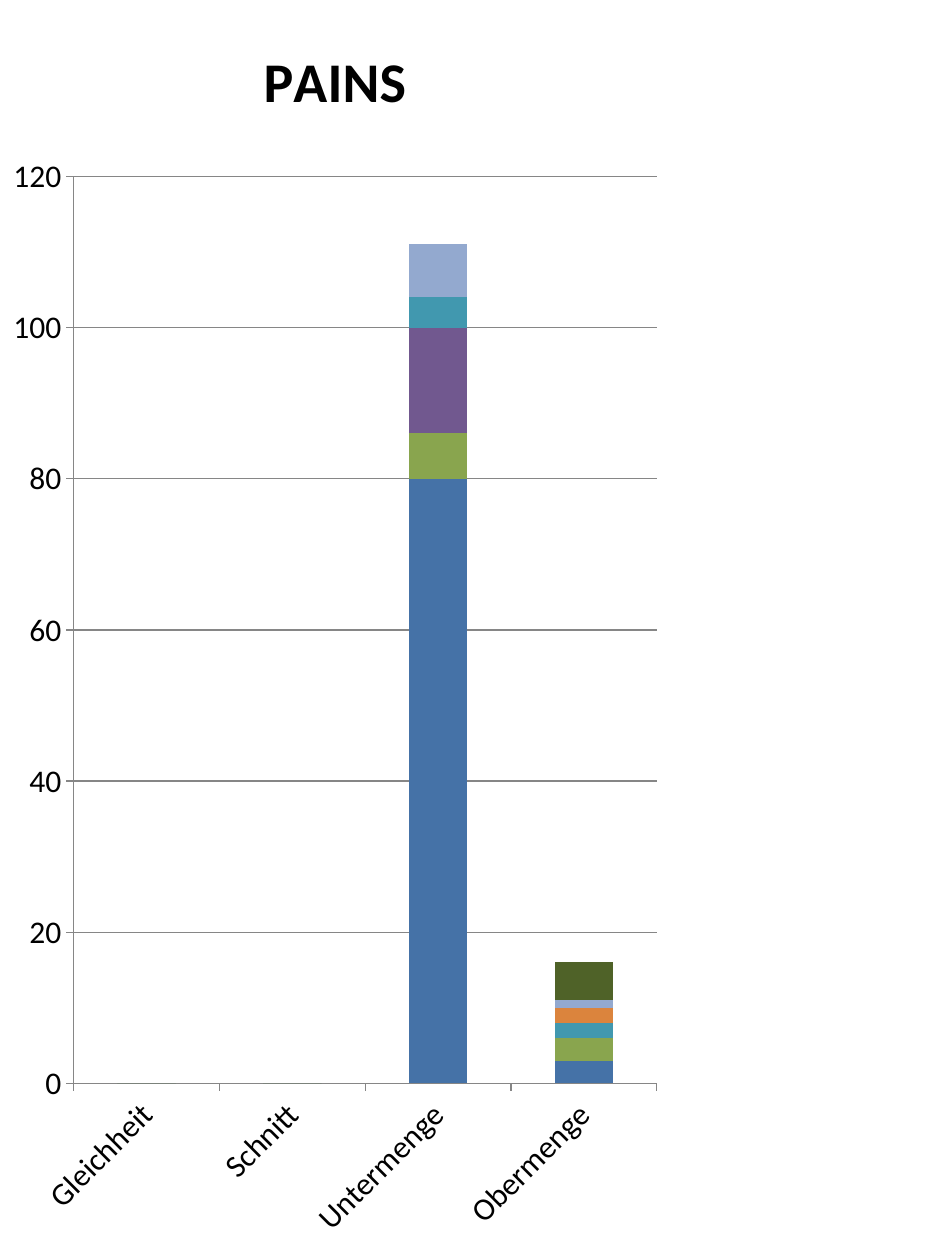
"""Build a portrait slide with one stacked column chart of set relations."""
from lxml.etree import SubElement
from pptx import Presentation
from pptx.chart.data import CategoryChartData
from pptx.dml.color import RGBColor
from pptx.enum.chart import XL_CHART_TYPE, XL_TICK_MARK
from pptx.oxml.ns import qn
from pptx.util import Pt

COLOURS = {
    "text": "000000",
    "line": "868686",
    "Series 1": "4572A7",
    "Series 2": "89A54E",
    "Series 3": "71588F",
    "Series 4": "4198AF",
    "Series 5": "DB843D",
    "Series 6": "93A9CF",
    "Series 7": "4F6228",
}
CATEGORIES = ["Gleichheit", "Schnitt", "Untermenge", "Obermenge"]
VALUES = {
    "Series 1": (0, 0, 80, 3),
    "Series 2": (0, 0, 6, 3),
    "Series 3": (0, 0, 14, 0),
    "Series 4": (0, 0, 4, 2),
    "Series 5": (0, 0, 0, 2),
    "Series 6": (0, 0, 7, 1),
    "Series 7": (0, 0, 0, 5),
}
PLOT_LAYOUT = {
    "layoutTarget": "inner", "xMode": "edge", "yMode": "edge",
    "x": 0.11, "y": 0.14, "w": 0.87, "h": 0.72,
}


def style_font(font, size, bold=False):
    font.name = "Calibri"
    font.size = Pt(size)
    font.bold = bold
    font.color.rgb = RGBColor.from_string(COLOURS["text"])


deck = Presentation()
deck.slide_width, deck.slide_height = Pt(540), Pt(720)
page = deck.slides.add_slide(deck.slide_layouts[6])

data = CategoryChartData()
data.categories = CATEGORIES
for name, values in VALUES.items():
    data.add_series(name, values)
chart = page.shapes.add_chart(
    XL_CHART_TYPE.COLUMN_STACKED, Pt(0), Pt(0), Pt(383), Pt(720), data
).chart
style_font(chart.font, 18)
chart.has_legend = False

chart.has_title = True
chart.chart_title.include_in_layout = False
title = chart.chart_title.text_frame.paragraphs[0]
title.text = "PAINS"
style_font(title.font, 32, bold=True)
style_font(title.runs[0].font, 32, bold=True)

plot = chart.plots[0]
plot.gap_width = 150
plot.overlap = 100
plot.vary_by_categories = False
for series in plot.series:
    series.format.fill.solid()
    series.format.fill.fore_color.rgb = RGBColor.from_string(COLOURS[series.name])

value_axis, category_axis = chart.value_axis, chart.category_axis
value_axis.minimum_scale, value_axis.maximum_scale = 0, 120
value_axis.major_unit = 20
value_axis.has_major_gridlines = True
for axis in (value_axis, category_axis):
    axis.major_tick_mark = XL_TICK_MARK.OUTSIDE
    style_font(axis.tick_labels.font, 18)
for part in (value_axis, category_axis, value_axis.major_gridlines):
    part.format.line.width = Pt(0.75)
    part.format.line.color.rgb = RGBColor.from_string(COLOURS["line"])

label_body = category_axis._element.find(qn("c:txPr")).find(qn("a:bodyPr"))
label_body.set("rot", "-2700000")
label_body.set("vert", "horz")

plot_area = chart._chartSpace.chart.plotArea
for old_layout in plot_area.findall(qn("c:layout")):
    plot_area.remove(old_layout)
layout = SubElement(plot_area, qn("c:layout"))
plot_area.insert(0, layout)
manual = SubElement(layout, qn("c:manualLayout"))
for tag, value in PLOT_LAYOUT.items():
    SubElement(manual, qn(f"c:{tag}")).set("val", str(value))

deck.save("out.pptx")
